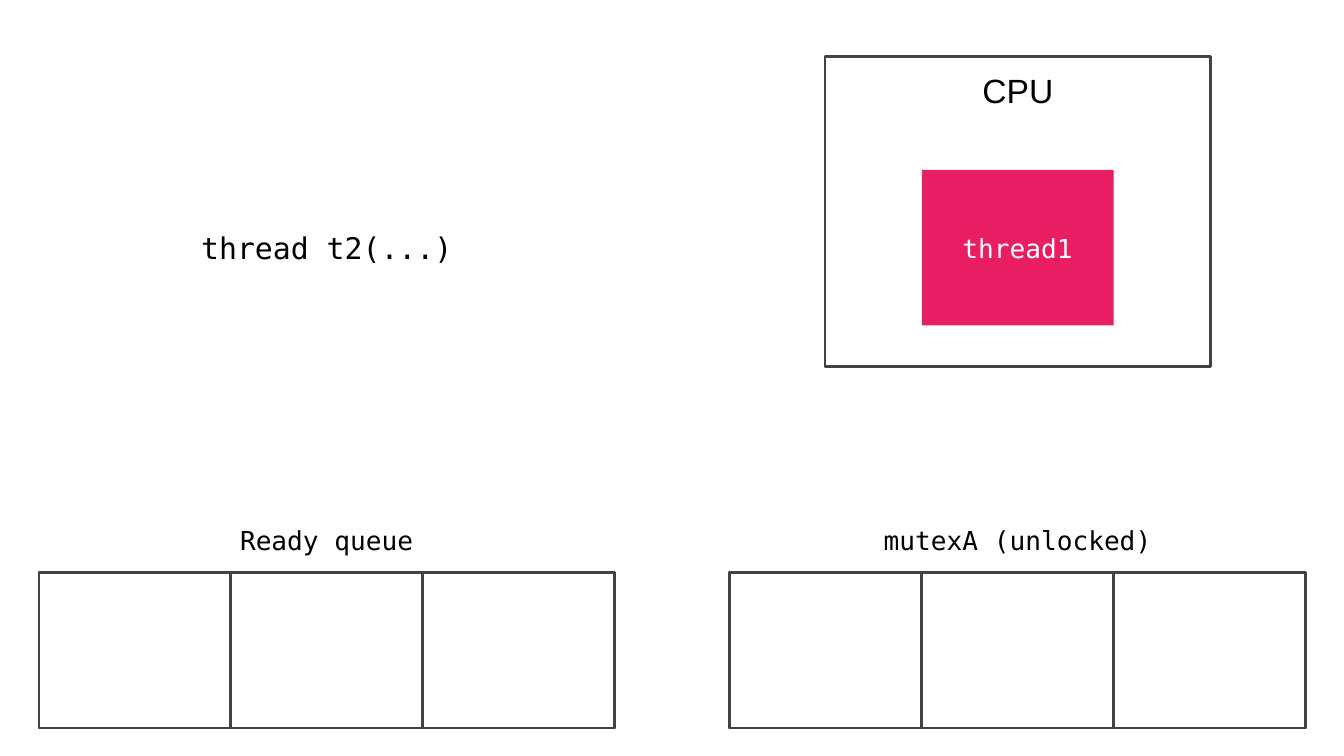
from pptx import Presentation
from pptx.dml.color import RGBColor
from pptx.enum.shapes import MSO_SHAPE
from pptx.enum.text import MSO_ANCHOR, PP_ALIGN
from pptx.util import Pt

BLACK = RGBColor(0x00, 0x00, 0x00)
WHITE = RGBColor(0xFF, 0xFF, 0xFF)
GRAY = RGBColor(0x42, 0x42, 0x42)
PINK = RGBColor(0xE9, 0x1D, 0x63)
SANS = "Arial"
MONO = "DejaVu Sans Mono"
CELL_WIDTH, CELL_HEIGHT = 102.8, 83.4
SLOT_COUNT = 3
QUEUE_TOP = 306.7
LABEL_HEIGHT = 33
READY_LEFT, MUTEX_LEFT = 20.9, 391


class ThreadDiagram:
    """Draws boxes, labels and queues in one style on the current slide."""

    def __init__(self, slide):
        self.slide = slide

    def caption(self, shape, text, size, font=MONO, color=BLACK, anchor=MSO_ANCHOR.TOP):
        frame = shape.text_frame
        frame.word_wrap = True
        frame.vertical_anchor = anchor
        frame.margin_left = frame.margin_right = Pt(7.2)
        frame.margin_top = frame.margin_bottom = Pt(7.2)
        frame.text = text
        para = frame.paragraphs[0]
        para.alignment = PP_ALIGN.CENTER
        span = para.runs[0]
        span.font.size = Pt(size)
        span.font.name = font
        span.font.color.rgb = color

    def box(self, left, top, width, height, fill=None, parent=None):
        shapes = (parent or self.slide).shapes
        box = shapes.add_shape(
            MSO_SHAPE.RECTANGLE, Pt(left), Pt(top), Pt(width), Pt(height)
        )
        box.shadow.inherit = False
        if fill is None:
            box.fill.background()
            box.line.color.rgb = GRAY
            box.line.width = Pt(1.5)
        else:
            box.fill.solid()
            box.fill.fore_color.rgb = fill
            box.line.fill.background()
        return box

    def label(self, text, center, top, width, size, parent=None):
        shapes = (parent or self.slide).shapes
        label = shapes.add_textbox(
            Pt(center - width / 2), Pt(top), Pt(width), Pt(LABEL_HEIGHT)
        )
        self.caption(label, text, size)

    def queue(self, name, left, label_width):
        group = self.slide.shapes.add_group_shape()
        width = SLOT_COUNT * CELL_WIDTH
        self.box(left, QUEUE_TOP, width, CELL_HEIGHT, parent=group)
        self.label(
            name, left + width / 2, QUEUE_TOP - LABEL_HEIGHT, label_width, 14, group
        )
        for slot in range(SLOT_COUNT):
            slot_left = left + slot * CELL_WIDTH
            self.box(slot_left, QUEUE_TOP, CELL_WIDTH, CELL_HEIGHT, parent=group)


def main():
    deck = Presentation()
    deck.slide_width, deck.slide_height = Pt(720), Pt(405)
    diagram = ThreadDiagram(deck.slides.add_slide(deck.slide_layouts[6]))

    cpu = diagram.box(442, 30.2, 206.6, 166.4)
    diagram.caption(cpu, "CPU", 18, SANS)
    thread = diagram.box(MUTEX_LEFT + CELL_WIDTH, 91, CELL_WIDTH, CELL_HEIGHT, PINK)
    diagram.caption(thread, "thread1", 14, color=WHITE, anchor=MSO_ANCHOR.MIDDLE)

    diagram.queue("mutexA (unlocked)", MUTEX_LEFT, 160.6)
    diagram.label(
        "thread t2(...)", READY_LEFT + SLOT_COUNT * CELL_WIDTH / 2, 116, 196, 16
    )
    diagram.queue("Ready queue", READY_LEFT, 125.3)
    deck.save("out.pptx")


if __name__ == "__main__":
    main()
